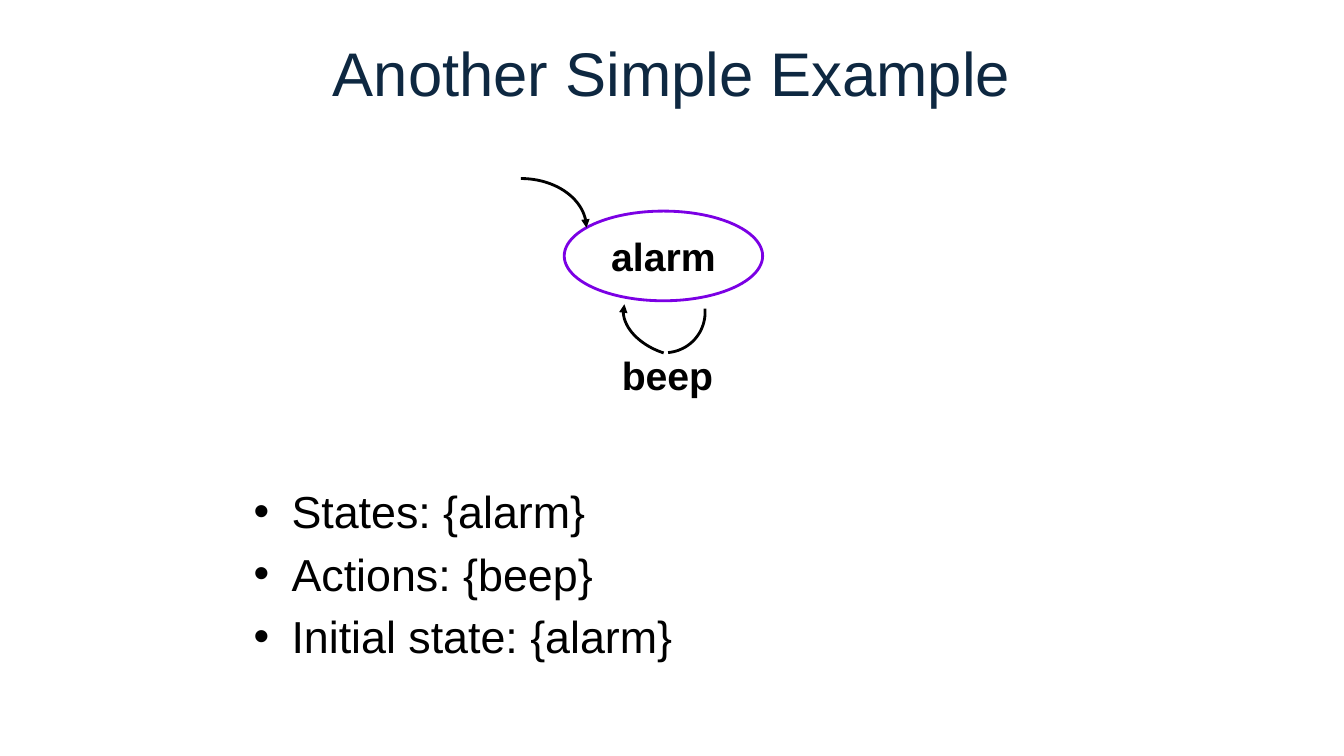
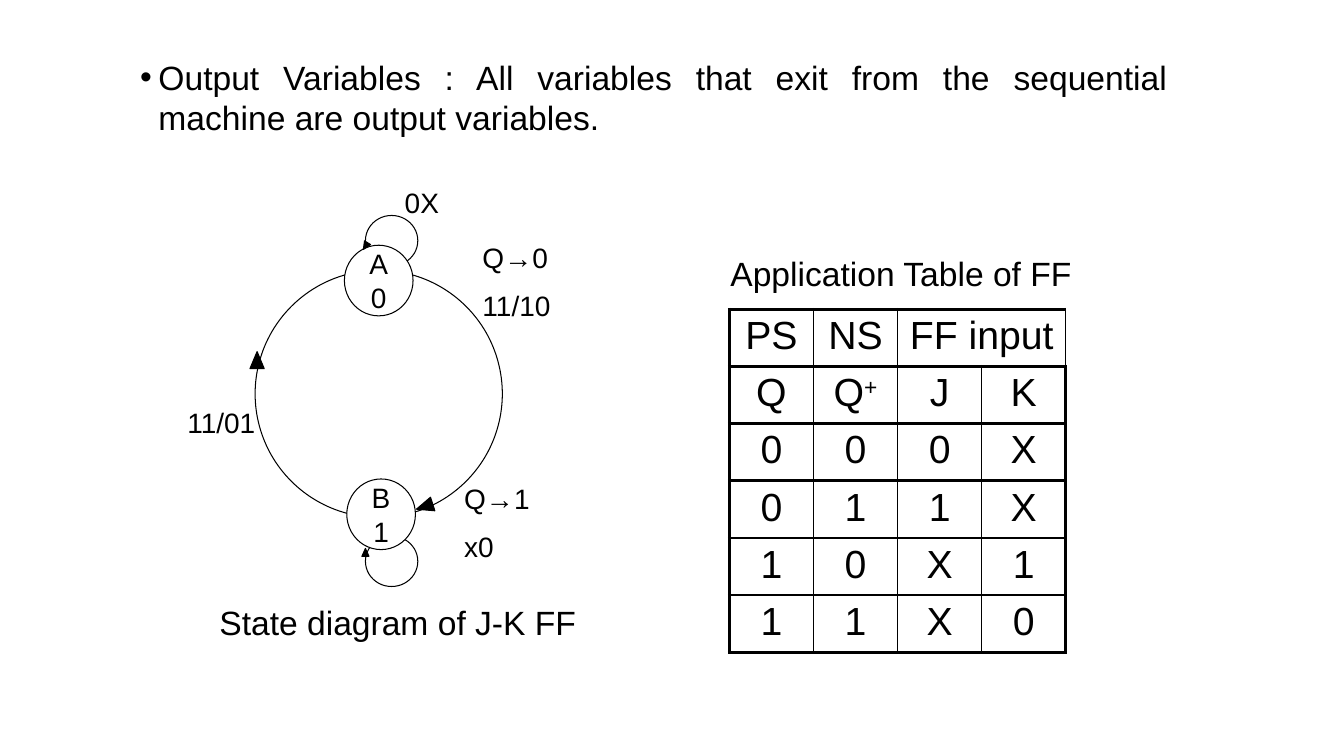
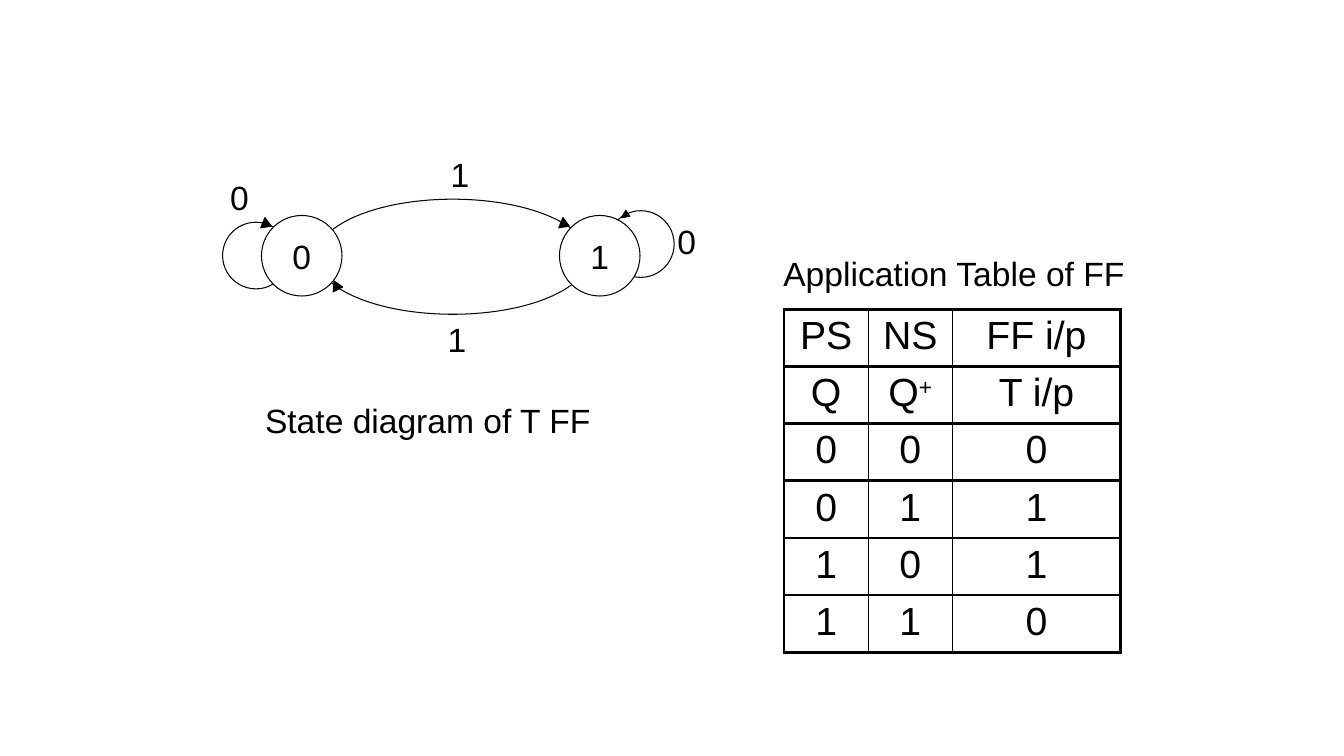
from math import cos, pi, sin

from lxml import etree
from pptx import Presentation
from pptx.dml.color import RGBColor
from pptx.enum.shapes import MSO_SHAPE
from pptx.enum.text import MSO_ANCHOR, PP_ALIGN
from pptx.oxml.ns import qn
from pptx.util import Cm, Pt

OVAL, TRIANGLE = MSO_SHAPE.OVAL, MSO_SHAPE.ISOSCELES_TRIANGLE
TOP, MIDDLE = MSO_ANCHOR.TOP, MSO_ANCHOR.MIDDLE
LEFT, CENTER, JUSTIFY = PP_ALIGN.LEFT, PP_ALIGN.CENTER, PP_ALIGN.JUSTIFY

COLORS = {"title": "0E2841", "ink": "000000", "paper": "FFFFFF", "state": "7B00E4"}
FONT = "Arial"


def write(sp, lines, size, align=LEFT, anchor=TOP, color="ink", bold=False, wrap=True, gap=None):
    """Fill a shape, text box or placeholder with one paragraph per line."""
    tf = sp.text_frame
    tf.word_wrap, tf.vertical_anchor = wrap, anchor
    tf.text = lines
    for i, p in enumerate(tf.paragraphs):
        p.alignment = align
        p.font.name, p.font.size, p.font.bold = FONT, Pt(size), bold
        p.font.color.rgb = RGBColor.from_string(COLORS[color])
        if i and gap:
            p.space_before = Pt(gap)


def add_shape(s, kind, x, y, w, h, rotation=0, fill="paper", line="ink", width=0.75):
    """Add a filled preset shape without shadow."""
    sp = s.shapes.add_shape(kind, Cm(x), Cm(y), Cm(w), Cm(h))
    sp.shadow.inherit = False
    sp.rotation = rotation
    sp.fill.solid()
    sp.fill.fore_color.rgb = RGBColor.from_string(COLORS[fill])
    sp.line.color.rgb = RGBColor.from_string(COLORS[line])
    sp.line.width = Pt(width)
    return sp


prs = Presentation()
prs.slide_width, prs.slide_height = Cm(33.87), Cm(19.05)
content, blank = prs.slide_layouts[1], prs.slide_layouts[6]

# Slide 1: title and list
s = prs.slides.add_slide(content)
title, body = s.shapes.title, s.placeholders[1]
title.left, title.top, title.width, title.height = Cm(6.14), Cm(0.86), Cm(21.59), Cm(1.9)
write(title, "Another Simple Example", 44, CENTER, MIDDLE, "title")
body.left, body.top, body.width, body.height = Cm(6.14), Cm(12.06), Cm(22.43), Cm(5.08)
write(body, "States: {alarm}\nActions: {beep}\nInitial state: {alarm}", 32)

# Slide 1: the alarm state
sp = add_shape(s, OVAL, 14.22, 5.32, 5, 2.26, line="state", width=2)
write(sp, "alarm", 28, CENTER, MIDDLE, bold=True, wrap=False)
sp = s.shapes.add_textbox(Cm(15.42), Cm(8.73), Cm(2.84), Cm(1.45))
write(sp, "beep", 28, bold=True, wrap=False)

# Slide 1: quarter ellipses from top to side (box, rotation, mirrored, arrowhead)
STEPS = 24
for x, y, w, h, rotation, mirrored, arrow in [
    (13.13, 4.5, 1.65, 1.24, 0, False, True),
    (15.57, 7.85, 1.32, 0.86, 198, False, True),
    (16.79, 7.82, 1.02, 1.02, 175, True, False),
]:
    points = []
    for i in range(STEPS + 1):
        angle = pi / 2 * i / STEPS
        across = 1 - sin(angle) if mirrored else sin(angle)
        points.append((Cm(x + w * across), Cm(y + h * (1 - cos(angle)))))
    builder = s.shapes.build_freeform(*points[0])
    builder.add_line_segments(points[1:], close=False)
    sp = builder.convert_to_shape()
    sp.shadow.inherit = False
    sp.rotation = rotation
    sp.fill.background()
    sp.line.color.rgb = RGBColor.from_string(COLORS["ink"])
    sp.line.width = Pt(2)
    if arrow:
        etree.SubElement(sp.line._get_or_add_ln(), qn("a:tailEnd"), type="triangle")

# Slide 2: definition
jk = prs.slides.add_slide(content)
title, body = jk.shapes.title, jk.placeholders[1]
title.element.getparent().remove(title.element)
body.left, body.top, body.width, body.height = Cm(3.28), Cm(1.29), Cm(26.39), Cm(2.31)
write(body, "Output Variables : All variables that exit from the sequential "
      "machine are output variables.", 24, JUSTIFY, MIDDLE)
p = body.text_frame.paragraphs[0]
p.space_before = Pt(0)
pPr = p._p.get_or_add_pPr()
pPr.set("marL", str(Cm(0.46)))
pPr.set("indent", str(-Cm(0.46)))

# Slide 3
t = prs.slides.add_slide(blank)

# State diagrams: rings below, then states, then arrowheads
diagrams = [
    (jk, 20,
     [(6.43, 6.81, 6.23, 6.23), (9.21, 13.51, 1.32, 1.27), (9.21, 5.43, 1.32, 1.27)],
     [("A\n0", 8.68, 6.18, 1.73, 1.78), ("B\n1", 8.74, 12.07, 1.73, 1.78)],
     [(10.52, 12.55, 0.36, 0.43, 252.2), (6.3, 8.86, 0.36, 0.43, 0),
      (9.12, 13.82, 0.18, 0.2, 0), (9.12, 6.1, 0.18, 0.2, 211.8)]),
    (t, 24,
     [(5.61, 5.6, 1.68, 1.68), (15.31, 5.31, 1.68, 1.68), (7.98, 5.02, 6.86, 2.9)],
     [("0", 6.59, 5.43, 2.03, 2.03), ("1", 14.1, 5.43, 2.03, 2.03)],
     [(15.65, 5.33, 0.18, 0.2, 236), (14.1, 5.54, 0.28, 0.23, 112.1),
      (8.38, 7.11, 0.28, 0.23, 94.1), (6.59, 5.54, 0.28, 0.23, 112.1)]),
]
for s, size, rings, states, heads in diagrams:
    for ring in rings:
        add_shape(s, OVAL, *ring)
    for name, *box in states:
        write(add_shape(s, OVAL, *box), name, size, CENTER, MIDDLE, wrap=False)
    for head in heads:
        add_shape(s, TRIANGLE, *head, fill="ink")

# Labels and captions
labels = [
    (jk, "Q→0\n11/10", 11.91, 5.94, 4.5, 2.36, 20, LEFT, TOP),
    (jk, "Q→1\nx0", 11.45, 12.01, 4.5, 2.36, 20, LEFT, TOP),
    (jk, "11/01", 4.47, 10.09, 2.36, 1.09, 20, LEFT, TOP),
    (jk, "0X", 9.95, 4.55, 1.85, 1.09, 20, LEFT, TOP),
    (jk, "State diagram of J-K FF", 5.28, 15.04, 10.44, 1.27, 24, JUSTIFY, MIDDLE),
    (jk, "Application Table of FF", 16.47, 6.24, 12.47, 1.27, 24, CENTER, MIDDLE),
    (t, "0", 5.55, 4.34, 0.91, 1.27, 24, JUSTIFY, MIDDLE),
    (t, "0", 16.82, 5.44, 0.91, 1.27, 24, JUSTIFY, MIDDLE),
    (t, "1", 10.82, 3.76, 1.55, 1.27, 24, CENTER, MIDDLE),
    (t, "1", 10.74, 7.9, 1.55, 1.27, 24, CENTER, MIDDLE),
    (t, "State diagram of T FF", 6.43, 9.96, 10.44, 1.27, 24, JUSTIFY, MIDDLE),
    (t, "Application Table of FF", 18.96, 6.25, 10.16, 1.27, 24, CENTER, MIDDLE),
]
for s, text, x, y, w, h, size, align, anchor in labels:
    sp = s.shapes.add_textbox(Cm(x), Cm(y), Cm(w), Cm(h))
    write(sp, text, size, align, anchor, gap=10)

# Application tables; None continues the cell on its left
ROW, COL = 1.44, 2.12
tables = [
    (jk, 18.38, [COL] * 4, [
        ["PS", "NS", "FF input", None],
        ["Q", "Q+", "J", "K"],
        ["0", "0", "0", "X"],
        ["0", "1", "1", "X"],
        ["1", "0", "X", "1"],
        ["1", "1", "X", "0"],
    ]),
    (t, 19.76, [COL, COL, 2 * COL], [
        ["PS", "NS", "FF i/p"],
        ["Q", "Q+", "T i/p"],
        ["0", "0", "0"],
        ["0", "1", "1"],
        ["1", "0", "1"],
        ["1", "1", "0"],
    ]),
]
for s, x, widths, rows in tables:
    tbl = s.shapes.add_table(len(rows), len(widths), Cm(x), Cm(7.79),
                             Cm(sum(widths)), Cm(ROW * len(rows))).table
    tbl.first_row = tbl.horz_banding = False
    for col, width in zip(tbl.columns, widths):
        col.width = Cm(width)
    last = len(widths) - 1
    for i, row in enumerate(rows):
        for j, text in enumerate(row):
            cell = tbl.cell(i, j)
            # Heavy rules all round and between rows, thin ones between columns
            tcPr = cell._tc.get_or_add_tcPr()
            for side, heavy in [("L", j == 0), ("R", j == last), ("T", True), ("B", True)]:
                ln = etree.SubElement(tcPr, qn(f"a:ln{side}"), w=str(Pt(2.25 if heavy else 1)))
                fill = etree.SubElement(ln, qn("a:solidFill"))
                etree.SubElement(fill, qn("a:srgbClr"), val=COLORS["ink"])
            cell.fill.background()
            if text is None:
                tbl.cell(i, j - 1).merge(cell)
                continue
            write(cell, text.rstrip("+"), 28, CENTER)
            if text.endswith("+"):
                r = cell.text_frame.paragraphs[0].add_run()
                r.text = "+"
                r.font._element.set("baseline", "30000")

prs.save("out.pptx")
